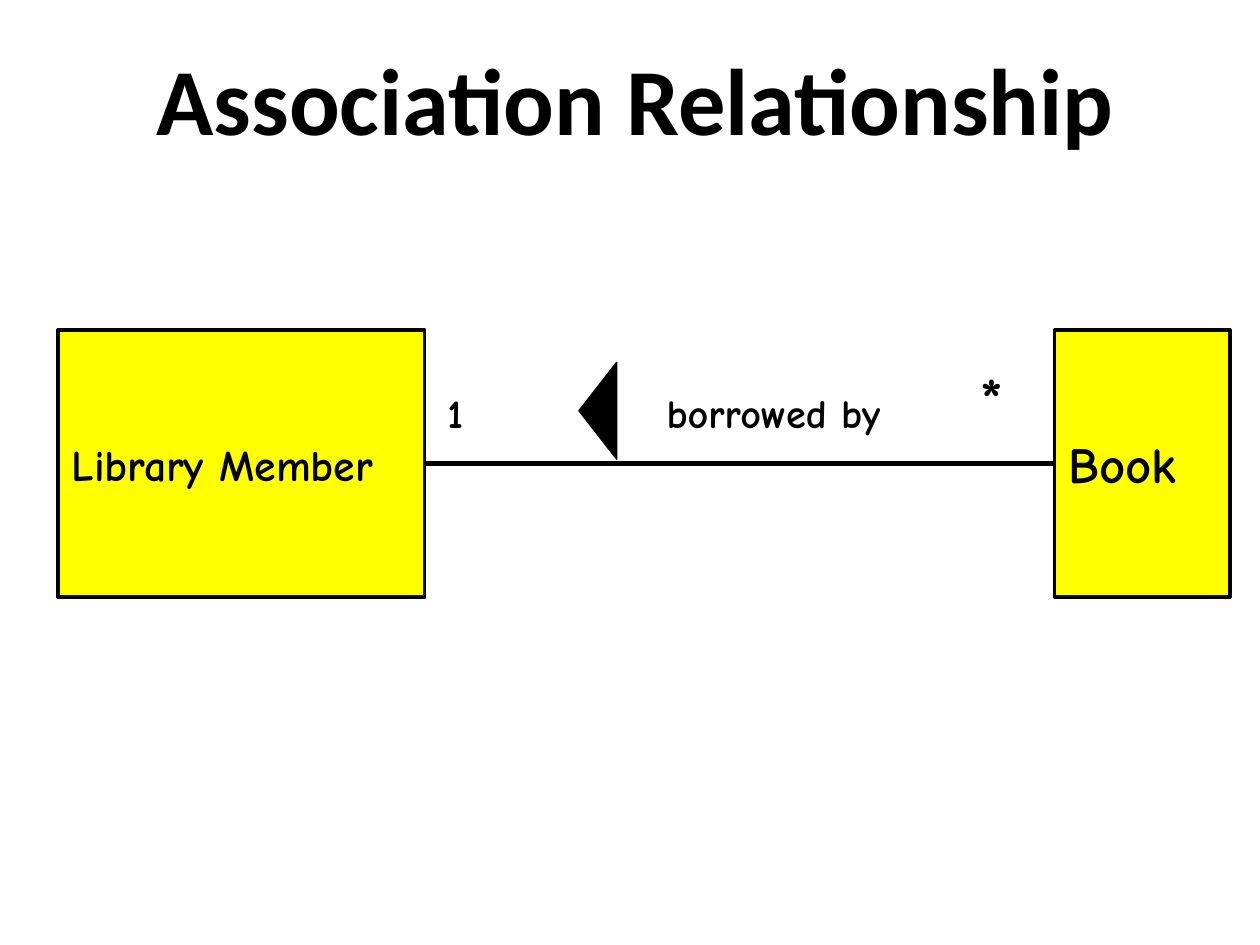
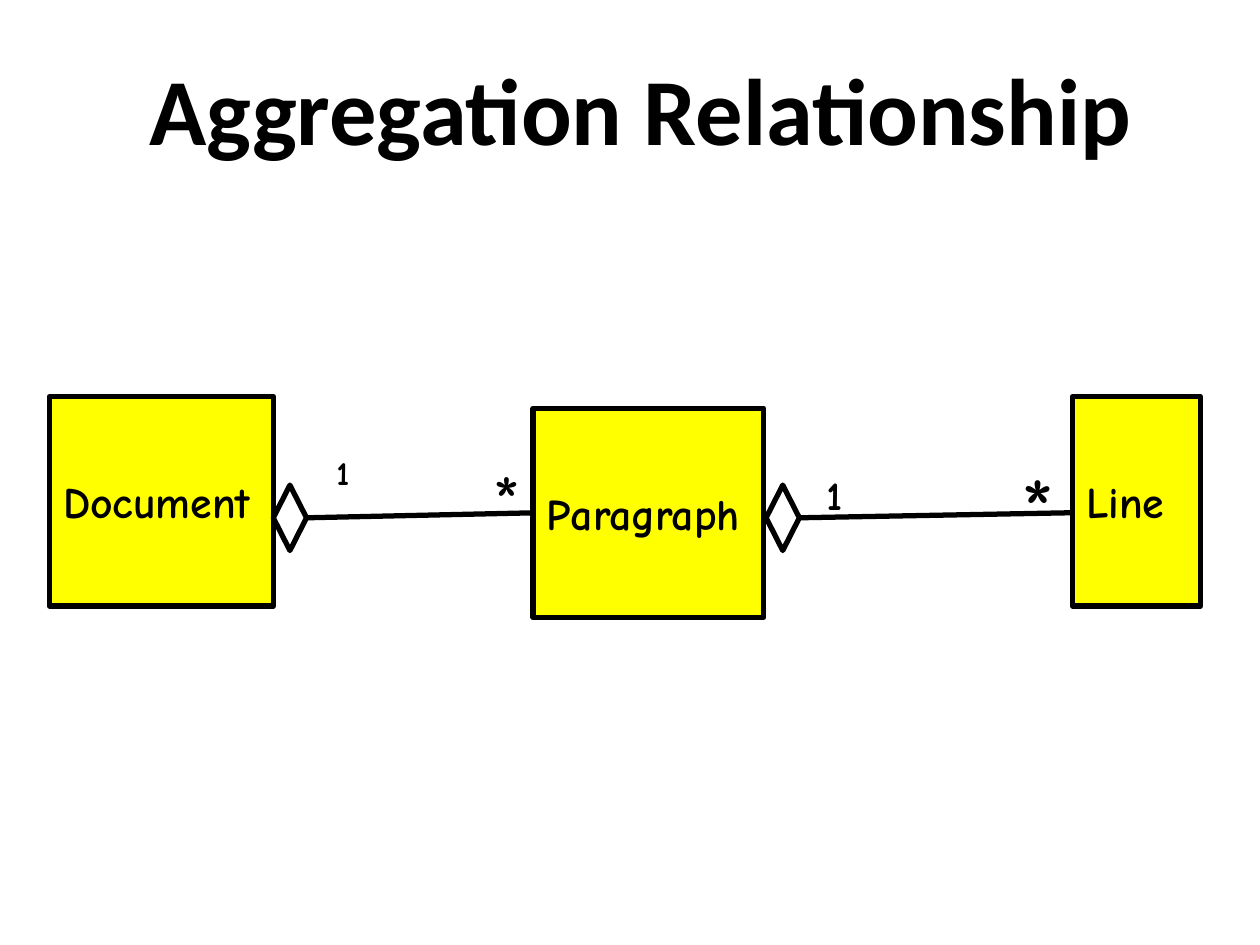
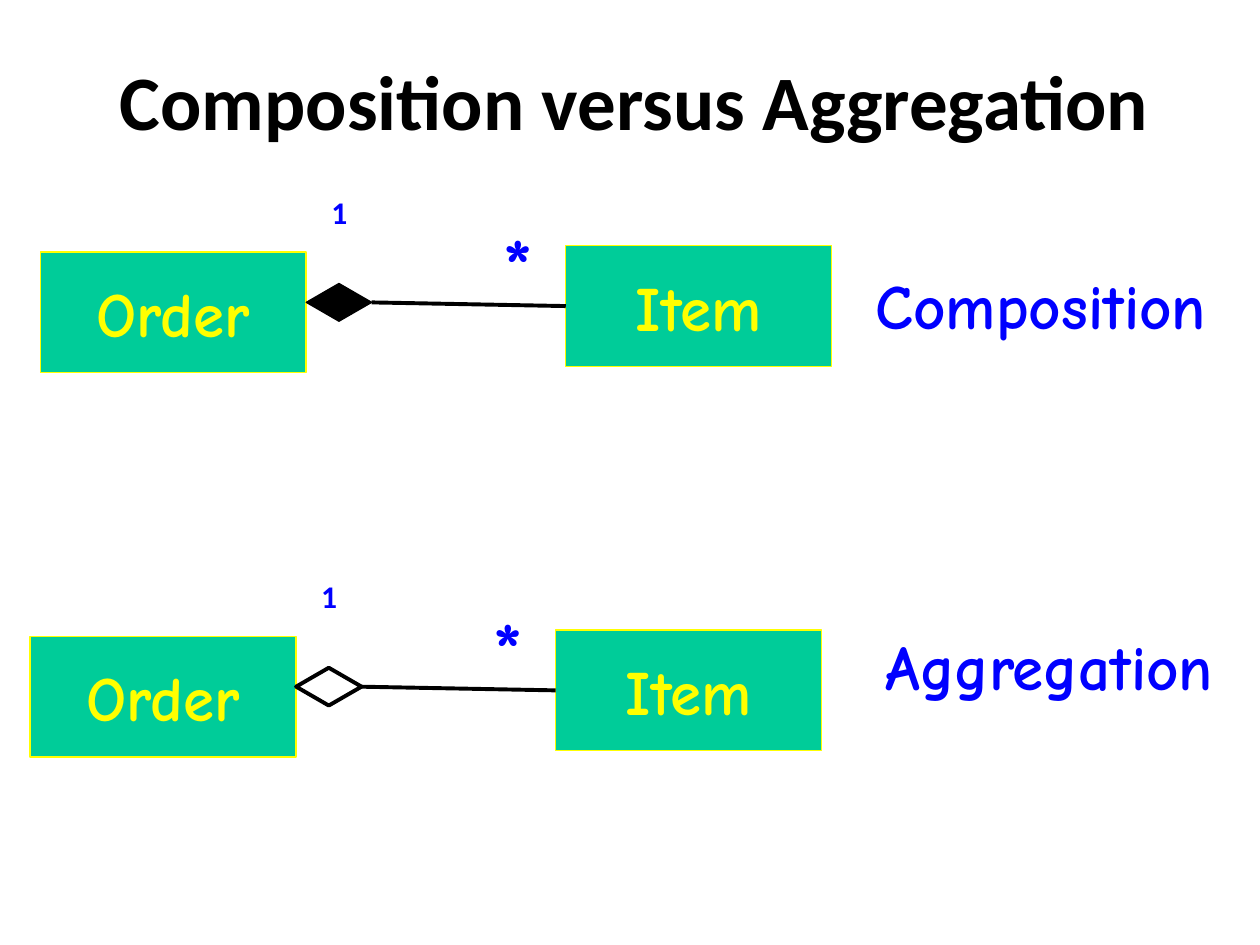
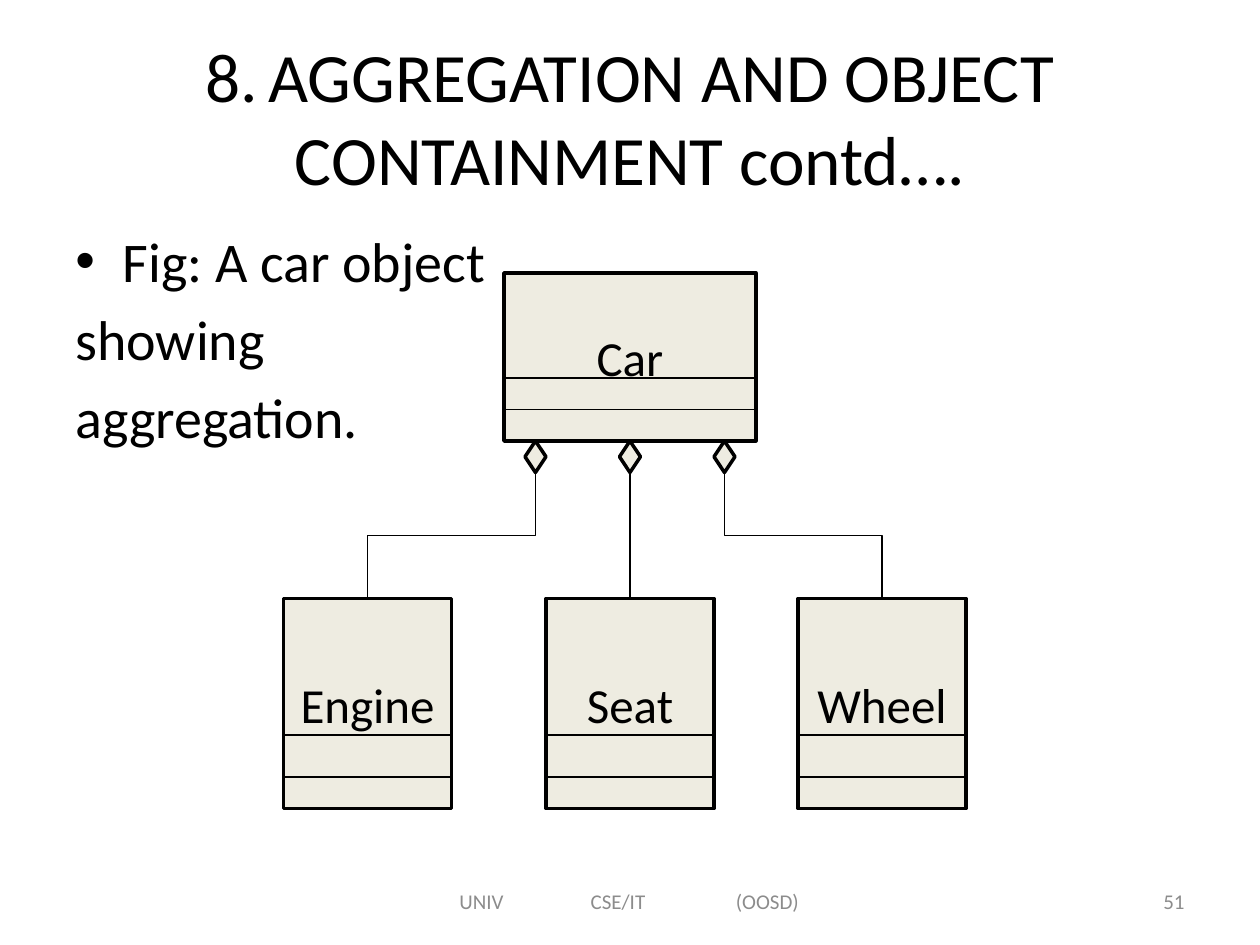
from dataclasses import dataclass, replace
from typing import Optional

import pptx
import pptx.dml.color
import pptx.enum.shapes
import pptx.enum.text
import pptx.oxml.ns
import pptx.shapes.autoshape
import pptx.shapes.connector
import pptx.slide
import pptx.util
from lxml import etree

Pt = pptx.util.Pt
Align = pptx.enum.text.PP_ALIGN
Anchor = pptx.enum.text.MSO_ANCHOR
Preset = pptx.enum.shapes.MSO_SHAPE
Connector = pptx.enum.shapes.MSO_CONNECTOR
Slide = pptx.slide.Slide
Shape = pptx.shapes.autoshape.Shape
Line = pptx.shapes.connector.Connector
qn = pptx.oxml.ns.qn

COLORS = {
    "black": "000000",
    "white": "FFFFFF",
    "yellow": "FFFF00",
    "green": "00CC99",
    "blue": "0000FF",
    "cream": "EEECE1",
    "gray": "8C8C8C",
}
TOP, LEFT, BOTTOM, RIGHT = range(4)


@dataclass(frozen=True)
class Box:
    left: float
    top: float
    width: float
    height: float

    def moved(self, right: float, down: float) -> "Box":
        return replace(self, left=self.left + right, top=self.top + down)


@dataclass(frozen=True)
class TextStyle:
    size: float
    font: str = "Comic Neue"
    color: str = "black"
    bold: bool = True
    align: Align = Align.LEFT
    anchor: Anchor = Anchor.TOP
    insets: tuple[float, float, float, float] = (7.2, 3.6, 7.2, 3.6)
    wrap: bool = True
    space_before: float = 0
    line_spacing: float = 1


@dataclass(frozen=True)
class Look:
    fill: Optional[str]
    line: str
    weight: float


TITLE = TextStyle(54, "Calibri", align=Align.CENTER, anchor=Anchor.MIDDLE,
                  insets=(1.4, 3.6, 1.4, 3.6), space_before=12.3, line_spacing=0.94)
SMALL_TITLE = replace(TITLE, size=44, insets=(7.2, 3.6, 7.2, 3.6), space_before=0)
PLAIN_TITLE = replace(SMALL_TITLE, size=39.6, bold=False, line_spacing=1)
CLASS_NAME = TextStyle(25, anchor=Anchor.MIDDLE, insets=(7.9, 4.3, 7.9, 4.3), wrap=False)
LABEL = TextStyle(23, insets=(0, 0, 0, 0), wrap=False)
LOW_LABEL = replace(LABEL, anchor=Anchor.BOTTOM)
ORDER_NAME = TextStyle(36, color="yellow", align=Align.CENTER, anchor=Anchor.MIDDLE, wrap=False)
CAPTION = TextStyle(36, color="blue", space_before=13.6)
ONE = TextStyle(18, "Calibri", "blue", space_before=11.3)
MANY = TextStyle(44, color="blue", space_before=18.1)
CAR_NAME = TextStyle(28, "Calibri", bold=False, align=Align.CENTER, anchor=Anchor.MIDDLE)
BODY = TextStyle(32, "Calibri", bold=False, space_before=6)
FOOTER = TextStyle(12, "Calibri", "gray", False, anchor=Anchor.MIDDLE)

ASSOCIATION_LOOK = Look("yellow", "black", 2.25)
AGGREGATION_LOOK = Look("yellow", "black", 3)
HOLLOW_LOOK = Look(None, "black", 3)
ORDER_LOOK = Look("green", "yellow", 0.75)
SOLID_LOOK = Look("black", "black", 0.75)
WHITE_LOOK = Look("white", "black", 2.25)
CAR_LOOK = Look("cream", "black", 2)


def rgb(name: str) -> pptx.dml.color.RGBColor:
    return pptx.dml.color.RGBColor.from_string(COLORS[name])


def write_text(shape: Shape, text: str, style: TextStyle) -> None:
    frame = shape.text_frame
    frame.text = text
    frame.word_wrap = style.wrap
    frame.vertical_anchor = style.anchor
    (frame.margin_left, frame.margin_top,
     frame.margin_right, frame.margin_bottom) = map(Pt, style.insets)
    for paragraph in frame.paragraphs:
        paragraph.alignment = style.align
        paragraph.space_before = Pt(style.space_before)
        paragraph.line_spacing = style.line_spacing
        for run in paragraph.runs:
            run.font.name = style.font
            run.font.size = Pt(style.size)
            run.font.bold = style.bold
            run.font.color.rgb = rgb(style.color)


def add_text(slide: Slide, box: Box, text: str, style: TextStyle) -> Shape:
    shape = slide.shapes.add_textbox(Pt(box.left), Pt(box.top), Pt(box.width), Pt(box.height))
    write_text(shape, text, style)
    return shape


def add_figure(slide: Slide, preset: Preset, box: Box, look: Look) -> Shape:
    shape = slide.shapes.add_shape(
        preset, Pt(box.left), Pt(box.top), Pt(box.width), Pt(box.height))
    shape.shadow.inherit = False
    if look.fill:
        shape.fill.solid()
        shape.fill.fore_color.rgb = rgb(look.fill)
    else:
        shape.fill.background()
    shape.line.color.rgb = rgb(look.line)
    shape.line.width = Pt(look.weight)
    return shape


def add_class(slide: Slide, box: Box, name: str, look: Look, style: TextStyle) -> Shape:
    shape = add_figure(slide, Preset.RECTANGLE, box, look)
    write_text(shape, name, style)
    return shape


def add_line(slide: Slide, start: tuple[float, float], end: tuple[float, float],
             weight: float, kind: Connector = Connector.STRAIGHT) -> Line:
    line = slide.shapes.add_connector(kind, *map(Pt, start + end))
    line.line.color.rgb = rgb("black")
    line.line.width = Pt(weight)
    etree.SubElement(line._element.spPr, qn("a:effectLst"))
    return line


def join(slide: Slide, start: Shape, start_side: int, end: Shape, end_side: int,
         weight: float, kind: Connector = Connector.STRAIGHT) -> Line:
    line = add_line(slide, (0, 0), (0, 0), weight, kind)
    line.begin_connect(start, start_side)
    line.end_connect(end, end_side)
    return line


def join_upward(slide: Slide, part: Shape, diamond: Shape) -> None:
    line = join(slide, part, TOP, diamond, BOTTOM, 0.75, Connector.ELBOW)
    starts_right = line.begin_x > line.end_x
    center_x, center_y = line.left + line.width // 2, line.top + line.height // 2
    line.width, line.height = line.height, line.width
    line.left, line.top = center_x - line.width // 2, center_y - line.height // 2
    frame = line._element.spPr.find(qn("a:xfrm"))
    frame.set("rot", str(270 * 60000))
    frame.set("flipH", "0")
    frame.set("flipV", str(int(starts_right)))


def add_compartments(slide: Slide, box: Box, heights: tuple[float, float]) -> None:
    for y in heights:
        add_line(slide, (box.left, y), (box.left + box.width, y), 0.75)


def build_association(slide: Slide) -> None:
    add_text(slide, Box(22.3, 0, 669.6, 118), " Association Relationship", TITLE)
    member = add_class(slide, Box(33.1, 188.6, 209.5, 152.6), "Library Member",
                       ASSOCIATION_LOOK, CLASS_NAME)
    book = add_class(slide, Box(602.6, 188.6, 100.1, 152.6), "Book",
                     ASSOCIATION_LOOK, replace(CLASS_NAME, size=29))
    join(slide, member, RIGHT, book, LEFT, 3)
    direction = add_figure(slide, Preset.ISOSCELES_TRIANGLE,
                           Box(313.9, 223.9, 55.4, 21.6), SOLID_LOOK)
    direction.rotation = 270
    add_text(slide, Box(255.6, 221.8, 14.4, 28.1), "1", LABEL)
    add_text(slide, Box(560.2, 206.6, 18, 41), "*", replace(LABEL, size=34))
    add_text(slide, Box(380.9, 221.8, 154.8, 28.1), "borrowed by", replace(LABEL, wrap=True))


def build_aggregation(slide: Slide) -> None:
    add_text(slide, Box(17.3, 5.8, 685.4, 118), " Aggregation Relationship", TITLE)
    add_class(slide, Box(28.1, 226.8, 128.2, 119.5), "Document", AGGREGATION_LOOK, CLASS_NAME)
    add_class(slide, Box(612.7, 226.8, 73.4, 119.5), "Line", AGGREGATION_LOOK, CLASS_NAME)
    paragraph_class = add_class(slide, Box(304.6, 233.3, 131.8, 119.5), "Paragraph",
                                AGGREGATION_LOOK, CLASS_NAME)
    document_diamond, paragraph_diamond = [
        add_figure(slide, Preset.FLOWCHART_DECISION, Box(left, 277.2, 19, 37.4), HOLLOW_LOOK)
        for left in (156.2, 437.8)]
    join(slide, document_diamond, RIGHT, paragraph_class, LEFT, 3)
    to_line = add_line(slide, (457, 296), (612.7, 293), 3)
    to_line.begin_connect(paragraph_diamond, RIGHT)
    for box, text, size, bold in (
        (Box(192.2, 166.3, 11.5, 115.2), "1", 19, True),
        (Box(281.5, 208.8, 22.3, 101.5), "*", 42, False),
        (Box(472.3, 213.1, 14.4, 83.5), "1", 23, True),
        (Box(583.2, 196.6, 27.4, 123.8), "*", 51, False),
    ):
        add_text(slide, box, text, replace(LOW_LABEL, size=size, bold=bold))


def build_comparison(slide: Slide) -> None:
    add_text(slide, Box(28.1, 14.4, 669.6, 90), "Composition versus Aggregation", SMALL_TITLE)
    for right, down, diamond_look in ((0, 0, SOLID_LOOK), (-5.8, 219.6, WHITE_LOOK)):
        add_class(slide, Box(23, 144, 152, 69).moved(right, down), "Order",
                  ORDER_LOOK, ORDER_NAME)
        item = add_class(slide, Box(323.3, 140.4, 152, 69).moved(right, down), "Item",
                         ORDER_LOOK, ORDER_NAME)
        diamond = add_figure(slide, Preset.DIAMOND,
                             Box(175, 162, 37.4, 21.6).moved(right, down), diamond_look)
        join(slide, diamond, RIGHT, item, LEFT, 2.25)
        add_text(slide, Box(182.2, 106.6, 26, 29.5).moved(right, down), "1", ONE)
        add_text(slide, Box(280.8, 120.2, 26, 60.5).moved(right, down), "*", MANY)
    add_text(slide, Box(493.2, 149, 219, 51.1), "Composition", CAPTION)
    add_text(slide, Box(499, 355, 219, 51.1), "Aggregation", CAPTION)


def add_footer(slide: Slide, text: str, number: str) -> None:
    footer = add_text(slide, Box(246, 500.4, 228, 28.8), text,
                      replace(FOOTER, insets=(16.5, 3.6, 0, 3.6)))
    properties = footer.text_frame.paragraphs[0]._p.get_or_add_pPr()
    tabs = etree.SubElement(properties, qn("a:tabLst"))
    for position in (75, 158):
        etree.SubElement(tabs, qn("a:tab"), pos=str(Pt(position)), algn="l")
    add_text(slide, Box(516, 500.4, 168, 28.8), number, replace(FOOTER, align=Align.RIGHT))


def build_containment(slide: Slide) -> None:
    add_text(slide, Box(36, 21.6, 648, 90),
             "8.\tAGGREGATION AND OBJECT CONTAINMENT contd….", PLAIN_TITLE)
    add_footer(slide, "UNIV\tCSE/IT\t(OOSD)", "51")
    body = add_text(slide, Box(36, 126, 648, 356.4),
                    "Fig: A car object\nshowing\naggregation.", BODY)
    for paragraph in body.text_frame.paragraphs:
        properties = paragraph._p.get_or_add_pPr()
        properties.set("marL", str(Pt(27)))
        properties.set("indent", str(Pt(-27)))
    first = body.text_frame.paragraphs[0]._p.get_or_add_pPr()
    etree.SubElement(first, qn("a:buFont"), typeface="Arial")
    etree.SubElement(first, qn("a:buChar"), char="•")

    diamonds = [add_figure(slide, Preset.DIAMOND, Box(300 + 54 * index, 252, 12, 18), CAR_LOOK)
                for index in range(3)]
    car = Box(288, 156, 144, 96)
    add_class(slide, car, "Car", CAR_LOOK, CAR_NAME)
    add_compartments(slide, car, (216, 234))
    parts = []
    for name, left in (("Engine", 162), ("Seat", 312), ("Wheel", 456)):
        box = Box(left, 342, 96, 120)
        parts.append(add_class(slide, box, name, CAR_LOOK, CAR_NAME))
        add_compartments(slide, box, (420, 444))
    engine, seat, wheel = parts
    join_upward(slide, engine, diamonds[0])
    join(slide, seat, TOP, diamonds[1], BOTTOM, 0.75)
    join_upward(slide, wheel, diamonds[2])


def main() -> None:
    presentation = pptx.Presentation()
    presentation.slide_width = Pt(720)
    presentation.slide_height = Pt(540)
    blank = presentation.slide_layouts[6]
    for build in (build_association, build_aggregation, build_comparison, build_containment):
        build(presentation.slides.add_slide(blank))
    presentation.save("out.pptx")


if __name__ == "__main__":
    main()
